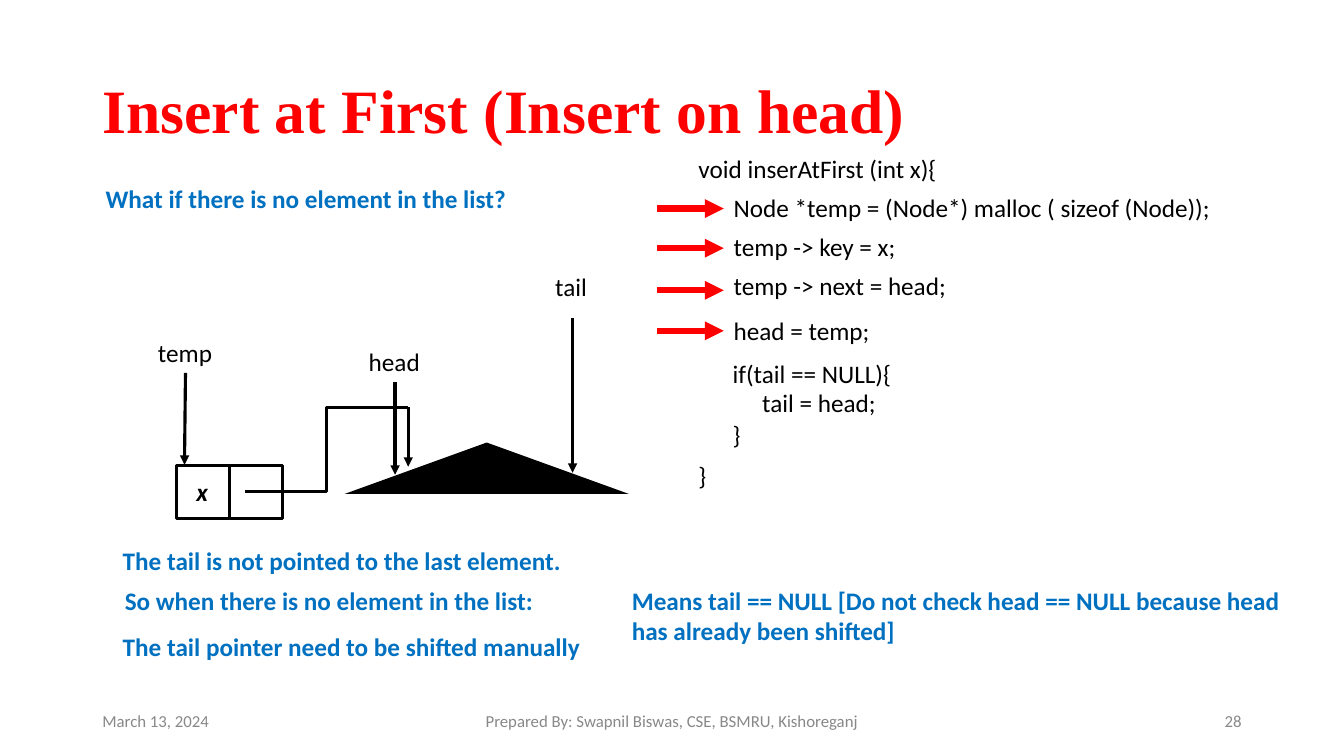
from lxml import etree
from pptx import Presentation
from pptx.dml.color import RGBColor
from pptx.enum.shapes import MSO_CONNECTOR, MSO_SHAPE
from pptx.enum.text import MSO_ANCHOR, PP_ALIGN
from pptx.oxml.ns import qn
from pptx.util import Pt

LEFT, MID, RIGHT = PP_ALIGN.LEFT, PP_ALIGN.CENTER, PP_ALIGN.RIGHT
TOP, CENTRE = MSO_ANCHOR.TOP, MSO_ANCHOR.MIDDLE
LINE, ELBOW = MSO_CONNECTOR.STRAIGHT, MSO_CONNECTOR.ELBOW
RECT, WEDGE = MSO_SHAPE.RECTANGLE, MSO_SHAPE.ISOSCELES_TRIANGLE

COLOURS = {"black": "000000", "red": "FF0000", "blue": "0070C0", "grey": "888888"}
BODY, SERIF = "Calibri", "Times New Roman"
ROW = 28.8   # height of a one-line text box
STEP = 21.97  # line pitch of the code

TITLE = "Insert at First (Insert on head)"
FOOTER = [
    ("March 13, 2024", 66, 216, LEFT),
    ("Prepared By: Swapnil Biswas, CSE, BSMRU, Kishoreganj", 318, 324, MID),
    ("28", 678, 216, RIGHT),
]
# text, left, top, width
CODE = [
    ("Node *temp = (Node*) malloc ( sizeof (Node));", 517, 133.9, 381),
    ("temp -> key = x;", 517, 161.6, 143),
    ("temp -> next = head;", 517, 189.8, 177),
    ("head = temp;", 517, 221.8, 117),
    ("tail = head;", 537.4, 273.2, 102),
]
# opening line, lines down to the closing brace, left, top, width, height
BLOCKS = [
    ("void inserAtFirst (int x){", 10, 491.8, 105.8, 204, 247),
    ("if(tail == NULL){", 2, 516.2, 252.7, 156, 73),
]
NOTES = [
    ("What if there is no element in the list?", 68.4, 127.4, 319),
    ("The tail is not pointed to the last element.", 80.6, 386.2, 348),
    ("So when there is no element in the list:", 82.1, 414.7, 336),
    ("The tail pointer need to be shifted manually", 80.6, 447.1, 361),
    ("Means tail == NULL [Do not check head == NULL because head"
     " has already been shifted]", 444.2, 414.7, 502),
]
# label, left, top, width, then arrow start and end
POINTERS = [
    ("head", 256.3, 244.1, 56, (282.2, 272.9), (282.2, 339.1)),
    ("tail", 389.5, 190.4, 45, (409, 226.8), (409, 337.7)),
    ("temp", 105.8, 237.2, 58, (132.5, 266.4), (131.8, 332)),
]
MARKS = [149, 177.3, 207.4, 236.3]  # heights of the red arrows
CELLS, CELL_TOP, SIDE = [126, 164], 332.6, 37.6
JOIN = [(175, 351.4), (291.6, 290.9), (291.6, 333.4)]


def rgb(name):
    return RGBColor.from_string(COLOURS[name])


def write(slide, lines, left, top, width, height=ROW, size=18, colour="black",
          font=BODY, bold=False, italic=False, align=LEFT, anchor=TOP,
          gap=0, pitch=None):
    """Add a text box; gap is the space before each line after the first."""
    box = slide.shapes.add_textbox(Pt(left), Pt(top), Pt(width), Pt(height))
    frame = box.text_frame
    frame.word_wrap = True
    frame.vertical_anchor = anchor
    for i, line in enumerate(lines):
        para = frame.add_paragraph() if i else frame.paragraphs[0]
        para.alignment = align
        if i:
            para.space_before = Pt(gap)
        if pitch:
            para.line_spacing = pitch
        run = para.add_run()
        run.text = line
        run.font.name, run.font.size = font, Pt(size)
        run.font.bold, run.font.italic = bold, italic
        run.font.color.rgb = rgb(colour)


def link(slide, start, end, colour="black", width=2.25, kind=LINE, head=True):
    line = slide.shapes.add_connector(kind, *(Pt(v) for v in start + end))
    line.line.color.rgb = rgb(colour)
    line.line.width = Pt(width)
    if head:
        tip = etree.SubElement(line.line._get_or_add_ln(), qn("a:tailEnd"))
        tip.set("type", "triangle")
    etree.SubElement(line._element.spPr, qn("a:effectLst"))


def block(slide, kind, left, top, width, height):
    part = slide.shapes.add_shape(kind, Pt(left), Pt(top), Pt(width), Pt(height))
    part.shadow.inherit = False
    return part


def main():
    deck = Presentation()
    deck.slide_width, deck.slide_height = Pt(960), Pt(540)
    slide = deck.slides.add_slide(deck.slide_layouts[6])

    write(slide, [TITLE], 66, 28.8, 828, 104.4, size=44, colour="red",
          font=SERIF, bold=True, anchor=CENTRE, pitch=0.9)
    for text, left, width, align in FOOTER:
        write(slide, [text], left, 500.5, width, size=12, colour="grey",
              align=align, anchor=CENTRE)

    for text, down, left, top, width, height in BLOCKS:
        write(slide, [text, "}"], left, top, width, height,
              gap=round((down - 1) * STEP, 1))
    for item in CODE:
        write(slide, [item[0]], *item[1:])
    for item in NOTES:
        write(slide, [item[0]], *item[1:], colour="blue", bold=True)
    for y in MARKS:
        link(slide, (469.4, y), (517, y), "red", 4.5)

    ground = block(slide, WEDGE, 246.2, 316.1, 203, 36.7)
    ground.fill.solid()
    ground.fill.fore_color.rgb = rgb("black")
    ground.line.fill.background()

    for text, left, top, width, start, end in POINTERS:
        write(slide, [text], left, top, width)
        link(slide, start, end)

    for left in CELLS:
        cell = block(slide, RECT, left, CELL_TOP, SIDE, SIDE)
        cell.fill.background()
        cell.line.color.rgb = rgb("black")
        cell.line.width = Pt(2)
    write(slide, ["x"], 133.2, 337, 28, bold=True, italic=True)
    link(slide, JOIN[0], JOIN[1], kind=ELBOW, head=False)
    link(slide, JOIN[1], JOIN[2])

    deck.save("out.pptx")


if __name__ == "__main__":
    main()
